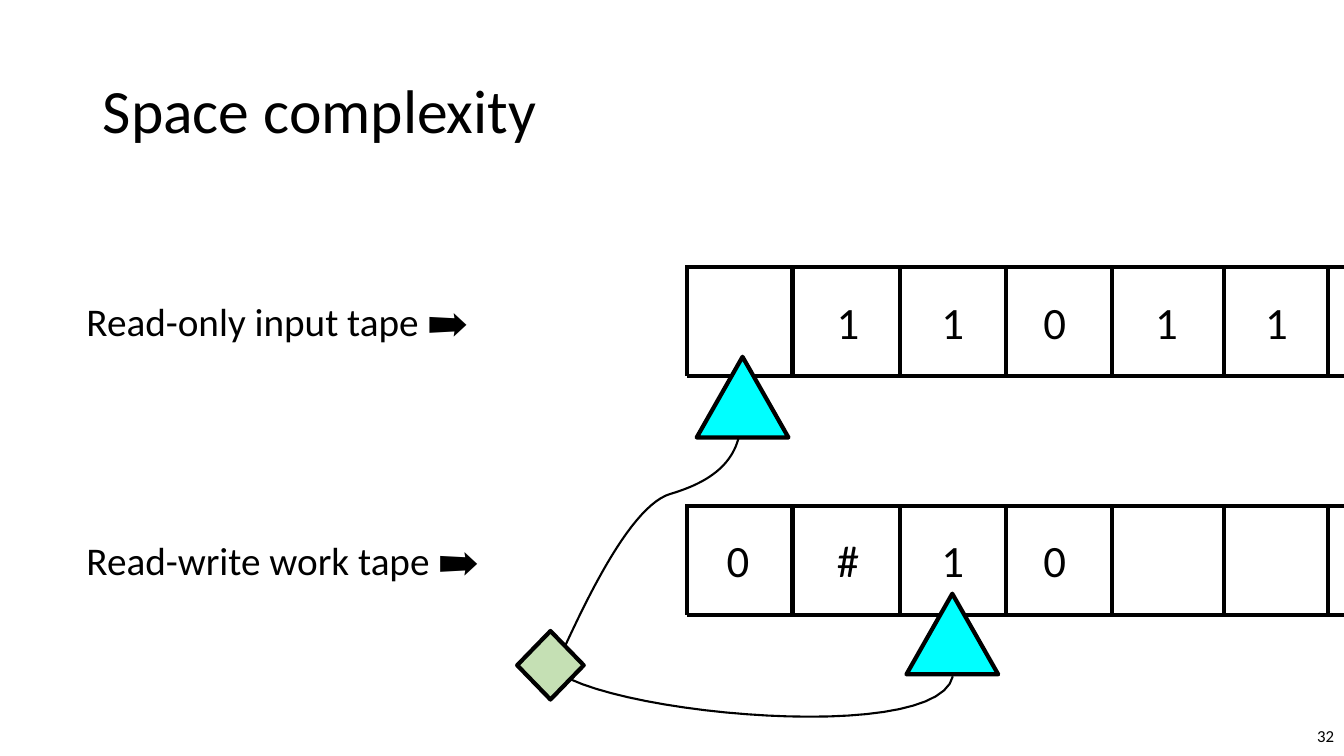
from lxml.etree import SubElement
from pptx import Presentation
from pptx.dml.color import RGBColor
from pptx.enum.shapes import MSO_CONNECTOR as Link, MSO_SHAPE as Form
from pptx.enum.text import MSO_ANCHOR as Anchor, PP_ALIGN as Align
from pptx.oxml.ns import qn
from pptx.util import Inches, Pt

INK = "000000"
hue = RGBColor.from_string


def draw(shape, width):
    shape.line.color.rgb = hue(INK)
    shape.line.width = Pt(width)
    SubElement(shape._element.spPr, qn("a:effectLst"))


def write(box, text, size, align=Align.LEFT, anchor=Anchor.TOP):
    frame = box.text_frame
    frame.word_wrap = True
    frame.vertical_anchor = anchor
    para = frame.paragraphs[0]
    para.alignment = align
    run = para.add_run()
    run.text = text
    run.font.name = "Calibri"
    run.font.size = Pt(size)
    run.font.color.rgb = hue(INK)
    return para


deck = Presentation()
deck.slide_width = Inches(13.33)
deck.slide_height = Inches(7.5)
slide = deck.slides.add_slide(deck.slide_layouts[5])
shapes = slide.shapes

title = shapes.title
title.left, title.top = Inches(0.92), Inches(0.4)
title.width, title.height = Inches(11.5), Inches(1.45)
write(title, "Space complexity", 44, anchor=Anchor.MIDDLE).line_spacing = 0.9

page = shapes.add_textbox(Inches(10.33), Inches(7.1), Inches(3), Inches(0.4))
write(page, "32", 12, Align.RIGHT, Anchor.MIDDLE)

left, end, high = 6.81, 13.33, 1.08
edges = [left, 7.86, 8.93, 9.98, 11.03, 12.14, 13.17]
mids = [7.32, 8.41, 9.45, 10.46, 11.57, 12.66]
tapes = [
    (2.65, "Read-only input tape ➡", " 11011", 6.91, 3.54),
    (5.02, "Read-write work tape ➡", "0#10", 8.99, 5.89),
]
for top, label, marks, head_x, head_y in tapes:
    rules = [(left, y, end, y) for y in (top, top + high)]
    for col, x in enumerate(edges):
        start = top - 0.02 if col in (0, 4, 5) else top
        rules.append((x, start, x, start + 1.1))
    for ends in rules:
        draw(shapes.add_connector(Link.STRAIGHT, *map(Inches, ends)), 3)

    head = shapes.add_shape(Form.ISOSCELES_TRIANGLE, Inches(head_x), Inches(head_y),
                            Inches(0.91), Inches(0.8))
    head.fill.solid()
    head.fill.fore_color.rgb = hue("00FFFF")
    draw(head, 3)

    for mid, mark in zip(mids, marks):
        if mark != " ":
            cell = shapes.add_textbox(Inches(mid - 0.29), Inches(top + 0.22),
                                      Inches(0.58), Inches(0.64))
            write(cell, mark, 32, Align.CENTER)

    note = shapes.add_textbox(Inches(0.76), Inches(top + 0.25), Inches(4.3), Inches(0.57))
    write(note, label, 28)

wires = [
    [(7.33, 4.33), (7.26, 4.62), (7.02, 4.79), (6.65, 4.9),
     (6.27, 5.01), (5.84, 5.9), (5.6, 6.42)],
    [(9.45, 6.71), (9.31, 7.34), (6.51, 7.13), (5.66, 6.74)],
]
steps = 24
for knots in wires:
    dots = []
    for first in range(0, len(knots) - 1, 3):
        bend = knots[first:first + 4]
        for step in range(1, steps + 1):
            t = step / steps
            parts = ((1 - t) ** 3, 3 * t * (1 - t) ** 2, 3 * t * t * (1 - t), t ** 3)
            dots.append([Inches(sum(p * k[axis] for p, k in zip(parts, bend)))
                         for axis in (0, 1)])
    pen = shapes.build_freeform(*map(Inches, knots[0]))
    pen.add_line_segments(dots, close=False)
    wire = pen.convert_to_shape()
    wire.fill.background()
    draw(wire, 1.5)

core = shapes.add_shape(Form.DIAMOND, Inches(5.13), Inches(6.26), Inches(0.66), Inches(0.68))
core.fill.solid()
core.fill.fore_color.rgb = hue("C5E0B4")
draw(core, 3)

deck.save("out.pptx")
